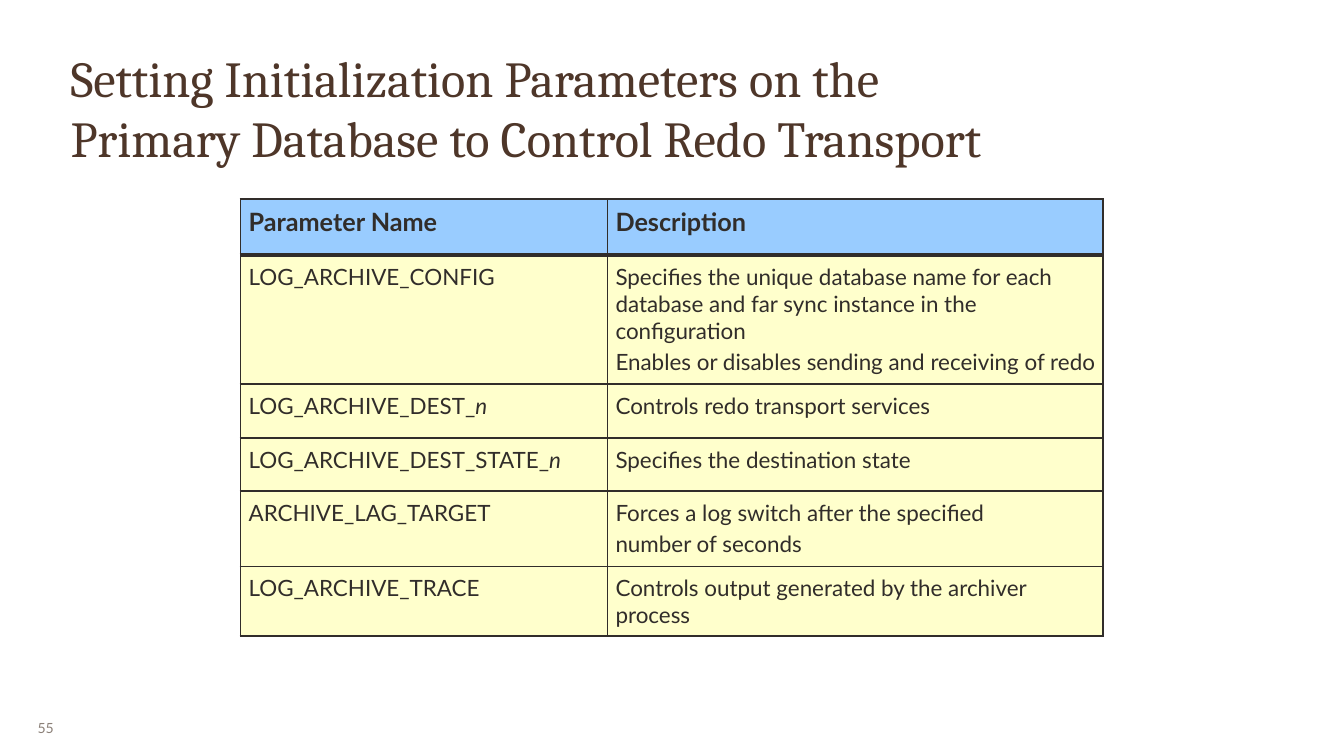
"""Build a slide with a table of redo transport parameters."""
import pptx
import pptx.dml.color
import pptx.enum.text
import pptx.oxml
import pptx.oxml.ns
import pptx.util

Inches, Pt = pptx.util.Inches, pptx.util.Pt
RGB = pptx.dml.color.RGBColor.from_string
Anchor = pptx.enum.text.MSO_ANCHOR

THEME = {
    "title": {"name": "Cambria", "size": Pt(54), "color": "4E3629"},
    "head": {"name": "Lato", "size": Pt(27), "bold": True, "color": "312D2A"},
    "body": {"name": "Lato", "size": Pt(24), "bold": False, "color": "312D2A"},
    "number": {"name": "Lato", "size": Pt(15), "color": "8B8078"},
    "blue": "99CCFF",
    "cream": "FFFFCC",
    "line": "312D2A",
}


def write(frame, text, style, pad, tail=""):
    for key, value in pad.items():
        setattr(frame, key, Inches(value))
    for i, line in enumerate(text.split("\n")):
        para = frame.add_paragraph() if i else frame.paragraphs[0]
        para.space_before = Pt(5 if i else 0)
        para.text = line
        if tail:
            para.add_run().text = tail
        for run in para.runs:
            for key, value in THEME[style].items():
                if key == "color":
                    run.font.color.rgb = RGB(value)
                else:
                    setattr(run.font, key, value)
        if tail:
            para.runs[-1].font.italic = True


def border(cell, side, width):
    cell._tc.get_or_add_tcPr().append(pptx.oxml.parse_xml(
        f'<a:ln{side} {pptx.oxml.ns.nsdecls("a")} w="{Pt(width)}"><a:solidFill>'
        f'<a:srgbClr val="{THEME["line"]}"/></a:solidFill></a:ln{side}>'))


deck = pptx.Presentation()
deck.slide_width, deck.slide_height = Inches(20), Inches(11.25)
slide = deck.slides.add_slide(deck.slide_layouts[6])

boxes = [
    ((1.02, 0.67, 17.96, 1.28), "title", Anchor.TOP, 0.03, 0.03,
     "Setting Initialization Parameters on the \vPrimary Database to Control Redo Transport"),
    ((0.43, 10.54, 0.65, 0.58), "number", Anchor.MIDDLE, 0.13, 0.07, "55"),
]
for place, style, anchor, side, edge, text in boxes:
    frame = slide.shapes.add_textbox(*map(Inches, place)).text_frame
    frame.word_wrap = True
    frame.vertical_anchor = anchor
    pad = {"margin_left": side, "margin_right": side, "margin_top": edge, "margin_bottom": edge}
    write(frame, text, style, pad)

rows = [
    (0.84, "Parameter Name", "", "Description"),
    (1.92, "LOG_ARCHIVE_CONFIG", "",
     "Specifies the unique database name for each database and far sync instance in the "
     "configuration\nEnables or disables sending and receiving of redo"),
    (0.8, "LOG_ARCHIVE_DEST_", "n", "Controls redo transport services"),
    (0.79, "LOG_ARCHIVE_DEST_STATE_", "n", "Specifies the destination state"),
    (1.12, "ARCHIVE_LAG_TARGET", "", "Forces a log switch after the specified\nnumber of seconds"),
    (1.04, "LOG_ARCHIVE_TRACE", "", "Controls output generated by the archiver process"),
]
widths = [5.46, 7.38]
table = slide.shapes.add_table(
    len(rows), len(widths), Inches(3.58), Inches(2.96),
    Inches(sum(widths)), Inches(sum(row[0] for row in rows))).table
for col, width in zip(table.columns, widths):
    col.width = Inches(width)

pad = {f"margin_{side}": 0.12 for side in ("left", "right", "top", "bottom")}
for r, (height, name, tail, about) in enumerate(rows):
    table.rows[r].height = Inches(height)
    for c, (text, end) in enumerate([(name, tail), (about, "")]):
        cell = table.cell(r, c)
        for key, value in pad.items():
            setattr(cell, key, Inches(value))
        write(cell.text_frame, text, "body" if r else "head", {}, end)
        for side in "LRTB":
            thick = (r, side) in [(0, "B"), (1, "T")]
            border(cell, side, 4.5 if thick else 2.25)
        cell.fill.solid()
        cell.fill.fore_color.rgb = RGB(THEME["cream" if r else "blue"])

deck.save("out.pptx")
